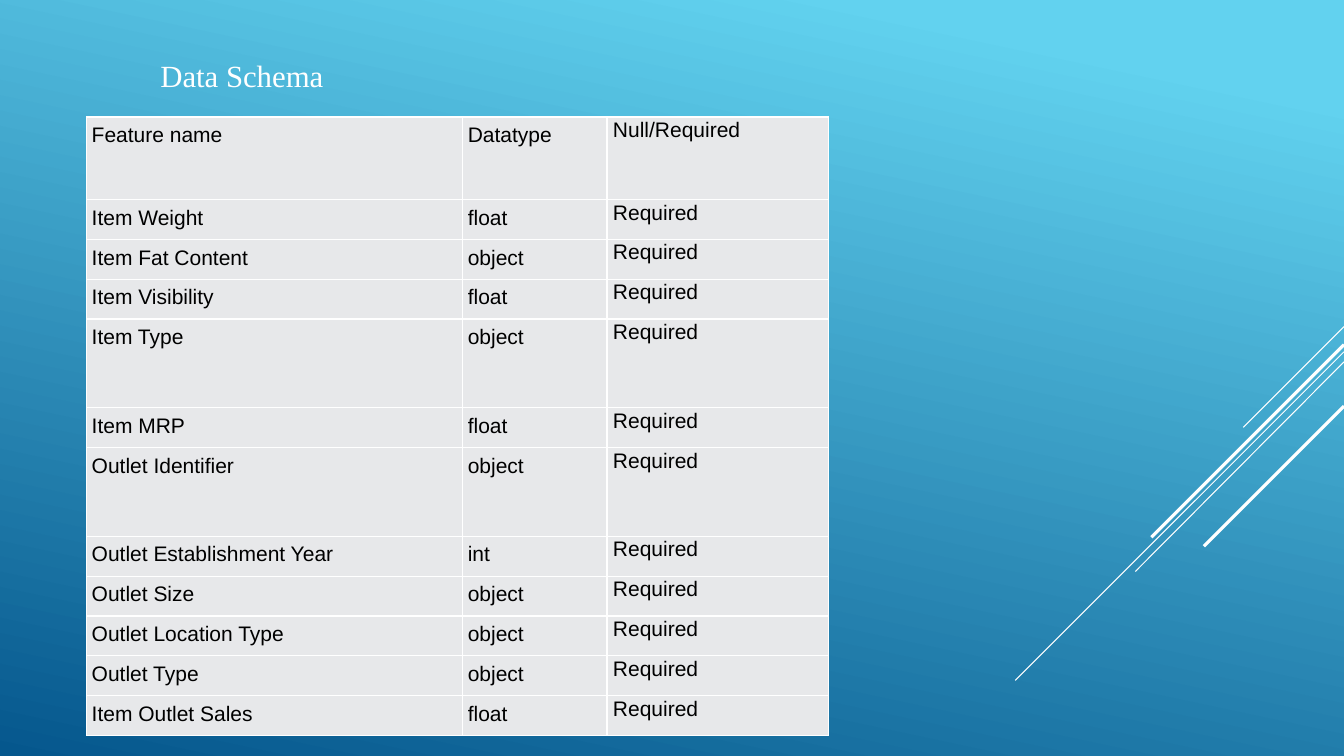
from lxml.etree import SubElement
from pptx import Presentation
from pptx.dml.color import RGBColor
from pptx.enum.shapes import MSO_CONNECTOR
from pptx.enum.text import MSO_ANCHOR, PP_ALIGN
from pptx.oxml import parse_xml
from pptx.oxml.ns import nsdecls, qn
from pptx.util import Inches, Pt

COLORS = {
    "white": "FFFFFF",
    "black": "000000",
    "cell": "E7E8EA",
    "sky": "62D2EF",
    "deep": "05578D",
}

FEATURES = [
    ("Item Weight", "float"),
    ("Item Fat Content", "object"),
    ("Item Visibility", "float"),
    ("Item Type", "object"),
    ("Item MRP", "float"),
    ("Outlet Identifier", "object"),
    ("Outlet Establishment Year", "int"),
    ("Outlet Size", "object"),
    ("Outlet Location Type", "object"),
    ("Outlet Type", "object"),
    ("Item Outlet Sales", "float"),
]
SCHEMA = [("Feature name", "Datatype", "Null/Required")]
SCHEMA += [(name, datatype, "Required") for name, datatype in FEATURES]

COLUMN_WIDTHS = [3.73, 1.43, 2.2]
COLUMN_MARGINS = [(0.05, 0.05), (0.05, 0.05), (0.06, 0)]
TABLE_HEIGHT = 6.14
TALL_ROWS = {"Feature name": 0.82, "Item Type": 0.88, "Outlet Identifier": 0.88}
ROW_HEIGHT = (TABLE_HEIGHT - sum(TALL_ROWS.values())) / (len(SCHEMA) - len(TALL_ROWS))

STRIPES = [
    (3.24, 12.33, 4.24, 0.75),
    (3.49, 10.07, 6.75, 0.75),
    (3.59, 11.26, 5.67, 0.75),
    (3.42, 11.42, 5.33, 2.25),
    (4.03, 11.94, 5.42, 2.25),
]


class SlideBuilder:
    def __init__(self, page):
        self.page = page

    def color(self, name):
        return RGBColor.from_string(COLORS[name])

    def background(self):
        fill = self.page.background.fill
        fill.gradient()
        fill.gradient_angle = 258
        for stop, name, position in zip(fill.gradient_stops, ("sky", "deep"), (0.1, 1)):
            stop.color.rgb = self.color(name)
            stop.position = position

    def format_text(self, paragraph, font, size, color):
        for span in paragraph.runs:
            span.font.name = font
            span.font.size = Pt(size)
            span.font.bold = False
            span.font.color.rgb = self.color(color)

    def title(self, text, left, top, width, height):
        box = self.page.shapes.title
        box.left, box.top = Inches(left), Inches(top)
        box.width, box.height = Inches(width), Inches(height)
        frame = box.text_frame
        frame.text = text
        frame.word_wrap = True
        frame.vertical_anchor = MSO_ANCHOR.MIDDLE
        para = frame.paragraphs[0]
        para.alignment = PP_ALIGN.LEFT
        self.format_text(para, "Times New Roman", 22, "white")

    def line(self, start, end, width):
        points = [Inches(value) for value in (*start, *end)]
        connector = self.page.shapes.add_connector(MSO_CONNECTOR.STRAIGHT, *points)
        connector.line.color.rgb = self.color("white")
        connector.line.width = Pt(width)
        SubElement(connector._element.spPr, qn("a:effectLst"))

    def cell_borders(self, cell):
        properties = cell._tc.get_or_add_tcPr()
        for index, side in enumerate(("lnL", "lnR", "lnT", "lnB")):
            border = parse_xml(
                f'<a:{side} {nsdecls("a")} w="{Pt(1)}"><a:solidFill>'
                f'<a:srgbClr val="{COLORS["white"]}"/></a:solidFill></a:{side}>'
            )
            properties.insert(index, border)

    def cell(self, cell, text, margins):
        cell.margin_left = cell.margin_right = Inches(margins[0])
        cell.margin_top = cell.margin_bottom = Inches(margins[1])
        cell.fill.solid()
        cell.fill.fore_color.rgb = self.color("cell")
        self.cell_borders(cell)
        cell.text_frame.text = text
        para = cell.text_frame.paragraphs[0]
        para.alignment = PP_ALIGN.JUSTIFY
        para.line_spacing = 1.07
        para.space_before = para.space_after = Pt(6)
        self.format_text(para, "Arial", 15, "black")

    def table(self, rows, left, top):
        frame = self.page.shapes.add_table(
            len(rows), len(COLUMN_WIDTHS), Inches(left), Inches(top),
            Inches(sum(COLUMN_WIDTHS)), Inches(TABLE_HEIGHT),
        )
        table = frame.table
        for column, width in zip(table.columns, COLUMN_WIDTHS):
            column.width = Inches(width)
        for row, values in zip(table.rows, rows):
            row.height = Inches(TALL_ROWS.get(values[0], ROW_HEIGHT))
            for cell, text, margins in zip(row.cells, values, COLUMN_MARGINS):
                self.cell(cell, text, margins)


def main():
    deck = Presentation()
    deck.slide_width, deck.slide_height = Inches(13.33), Inches(7.5)
    builder = SlideBuilder(deck.slides.add_slide(deck.slide_layouts[5]))
    builder.background()
    for top, left, bottom, width in STRIPES:
        builder.line((13.33, top), (left, bottom), width)
    builder.table(SCHEMA, 0.86, 1.16)
    builder.title("Data Schema", 1.49, 0.45, 5.33, 0.6)
    deck.save("out.pptx")


if __name__ == "__main__":
    main()
